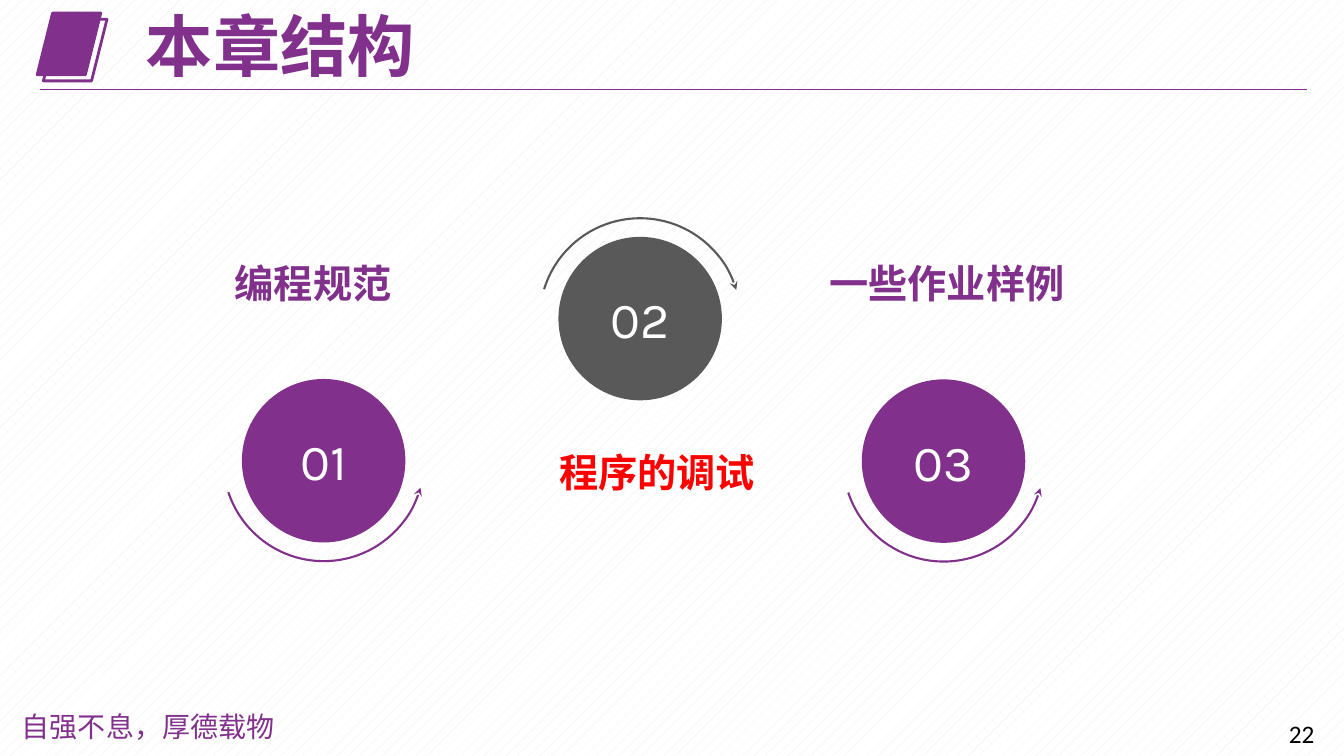
from lxml import etree
from pptx import Presentation
from pptx.dml.color import RGBColor
from pptx.enum.dml import MSO_PATTERN
from pptx.enum.shapes import MSO_CONNECTOR, MSO_SHAPE
from pptx.enum.text import MSO_ANCHOR, PP_ALIGN
from pptx.oxml.ns import qn
from pptx.util import Pt

PURPLE = RGBColor(0x81, 0x30, 0x8C)
GRAY = RGBColor(0x59, 0x59, 0x59)
RED = RGBColor(0xFF, 0x00, 0x00)
BLACK = RGBColor(0x00, 0x00, 0x00)
WHITE = RGBColor(0xFF, 0xFF, 0xFF)
CREAM = RGBColor(0xEE, 0xEC, 0xE1)
HEADING_FONT = "Noto Sans CJK SC"
MOTTO_FONT = "Noto Sans CJK JP"

# Each section: number, label, colour of circle, colour of label,
# circle left and top, label box, whether the arc runs over the top
SECTIONS = [
    ("01", "编程规范", PURPLE, PURPLE, (172.8, 270.7), (160.6, 185, 170, 54), False),
    ("02", "程序的调试", GRAY, RED, (398.9, 169.2), (392.4, 320.4, 193, 78.5), True),
    ("03", "一些作业样例", PURPLE, PURPLE, (615.6, 271), (585.4, 185, 183.6, 56), False),
]


def points(*lengths):
    return [Pt(length) for length in lengths]


def set_text(frame, text, font, size, color, bold=False):
    paragraph = frame.paragraphs[0]
    paragraph.text = text
    for target in [paragraph.font] + [run.font for run in paragraph.runs]:
        target.name = font
        target.size = Pt(size)
        target.bold = bold
        target.color.rgb = color
    # East Asian typeface follows the Latin one
    for run in paragraph.runs:
        latin = run.font._element.find(qn("a:latin"))
        east_asian = etree.Element(qn("a:ea"), typeface=font)
        latin.addnext(east_asian)
    return paragraph


def add_text(slide, box, text, font, size, color, bold=False, top_inset=0):
    frame = slide.shapes.add_textbox(*points(*box)).text_frame
    frame.word_wrap = True
    frame.margin_top = Pt(top_inset)
    set_text(frame, text, font, size, color, bold)
    return frame


def add_figure(slide, preset, box, fill=None, line=None, width=1):
    figure = slide.shapes.add_shape(preset, *points(*box))
    figure.shadow.inherit = False
    if fill is None:
        figure.fill.background()
    else:
        figure.fill.solid()
        figure.fill.fore_color.rgb = fill
    if line is None:
        figure.line.fill.background()
    else:
        figure.line.color.rgb = line
        figure.line.width = Pt(width)
    return figure


def draw_header(slide, left, top, width):
    # Stacked parallelograms
    for shift, fill in ((0, PURPLE), (4.4, None)):
        add_figure(slide, MSO_SHAPE.PARALLELOGRAM,
                   (left + shift, top + shift, 45.4, 44), fill, PURPLE, 2)

    # Rule under the title
    rule_left, rule_top = left + 2.2, top + 54.7
    rule = slide.shapes.add_connector(
        MSO_CONNECTOR.STRAIGHT,
        *points(rule_left, rule_top, rule_left + width, rule_top))
    rule.line.color.rgb = PURPLE
    rule.line.width = Pt(0.75)
    etree.SubElement(rule._element.spPr, qn("a:effectLst"))

    title = add_text(slide, (left + 70.6, top - 1.4, 443, 54.7), "本章结构",
                     HEADING_FONT, 48, PURPLE, bold=True, top_inset=3.6)
    title.vertical_anchor = MSO_ANCHOR.MIDDLE
    title.paragraphs[0].line_spacing = 0.9


def draw_section(slide, number, label, color, label_color, corner, label_box, over):
    left, top = corner
    diameter, gap = 116.8, 13.3

    # Numbered circle
    circle = add_figure(slide, MSO_SHAPE.OVAL, (left, top, diameter, diameter), color)
    circle.text_frame.vertical_anchor = MSO_ANCHOR.MIDDLE
    set_text(circle.text_frame, number, "Karla", 36, WHITE).alignment = PP_ALIGN.CENTER

    # Arc with its arrowhead on the right
    ring = diameter + 2 * gap
    arc = add_figure(slide, MSO_SHAPE.ARC, (left - gap, top - gap, ring, ring),
                     line=color, width=1.5)
    arc.adjustments[0] = 145.86
    arc.adjustments[1] = 17.629
    arc.rotation = 46.4 if over else 132.4
    if over:
        arc._element.spPr.find(qn("a:xfrm")).set("flipH", "1")
    etree.SubElement(arc.line._get_or_add_ln(), qn("a:headEnd"), type="stealth")

    add_text(slide, label_box, label, HEADING_FONT, 28, label_color, bold=True)


def draw_footer(slide, left, top):
    add_text(slide, (left, top, 200, 31.7), "自强不息，厚德载物", MOTTO_FONT, 20, PURPLE)
    add_text(slide, (left + 905, top + 2.9, 44, 28.8), "22", "Calibri", 18, BLACK,
             top_inset=3.6)


def main():
    deck = Presentation()
    deck.slide_width, deck.slide_height = points(960, 540)
    slide = deck.slides.add_slide(deck.slide_layouts[6])

    # Patterned background
    backdrop = slide.background.fill
    backdrop.patterned()
    backdrop.pattern = MSO_PATTERN.PERCENT_10
    backdrop.fore_color.rgb = CREAM
    backdrop.back_color.rgb = WHITE

    draw_footer(slide, 8.6, 506.9)
    draw_header(slide, 26.6, 9.4, 905)
    for section in SECTIONS:
        draw_section(slide, *section)
    deck.save("out.pptx")


if __name__ == "__main__":
    main()
